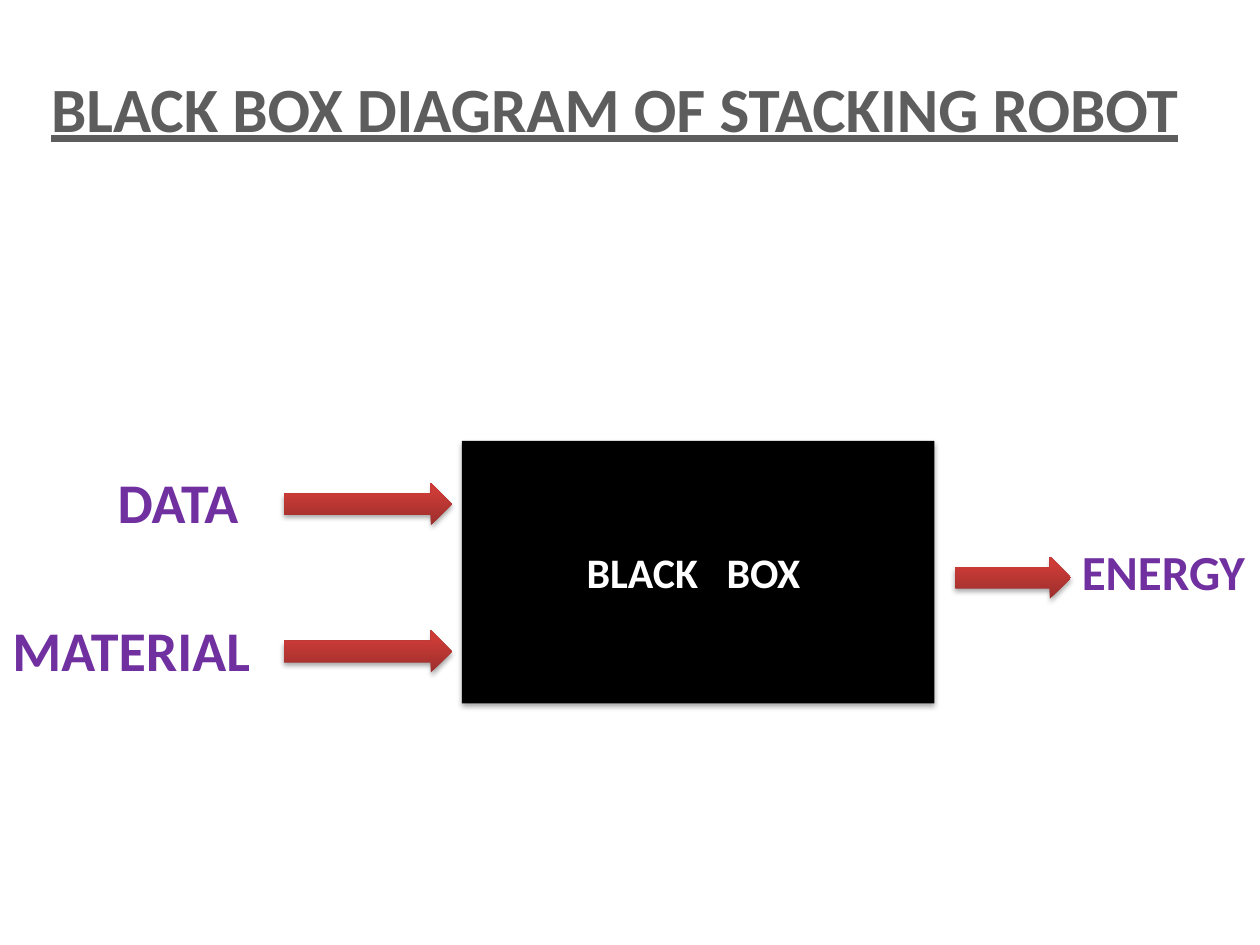
from dataclasses import dataclass

from lxml.etree import SubElement
from pptx import Presentation
from pptx.dml.color import RGBColor
from pptx.enum.shapes import MSO_SHAPE
from pptx.enum.text import MSO_ANCHOR, MSO_AUTO_SIZE, PP_ALIGN
from pptx.oxml.ns import qn
from pptx.util import Cm, Pt


@dataclass(frozen=True)
class Theme:
    font: str = "Calibri"
    title: str = "5D5D5D"
    label: str = "7030A0"
    box: str = "000000"
    box_text: str = "FFFFFF"
    arrow_bottom: str = "9C2F2D"
    arrow_top: str = "CE3B37"
    shadow: str = "000000"
    title_size: int = 36
    input_size: int = 32
    output_size: int = 28
    box_size: int = 24


THEME = Theme()
ROW_PITCH = 2.97  # distance between the two inputs


def add_span(frame, text, size, color, align, underline=None):
    para = frame.paragraphs[0]
    para.alignment = align
    span = para.add_run()
    span.text = text
    font = span.font
    font.name, font.size, font.bold = THEME.font, Pt(size), True
    font.underline = underline
    font.color.rgb = RGBColor.from_string(color)


def add_label(page, text, left, top, width, height, size, color=THEME.label,
              align=PP_ALIGN.LEFT, underline=None):
    box = page.shapes.add_textbox(Cm(left), Cm(top), Cm(width), Cm(height))
    frame = box.text_frame
    frame.word_wrap = False
    frame.auto_size = MSO_AUTO_SIZE.SHAPE_TO_FIT_TEXT
    add_span(frame, text, size, color, align, underline)


def add_block(page, kind, left, top, width, height):
    """Add a preset shape without outline and with a soft shadow below."""
    shape = page.shapes.add_shape(kind, Cm(left), Cm(top), Cm(width), Cm(height))
    shape.line.fill.background()
    shape.shadow.inherit = False
    effects = shape._element.spPr.find(qn("a:effectLst"))
    shadow = SubElement(effects, qn("a:outerShdw"), blurRad=str(Pt(3.1)),
                        dist=str(Pt(1.8)), dir="5400000", rotWithShape="0")
    color = SubElement(shadow, qn("a:srgbClr"), val=THEME.shadow)
    SubElement(color, qn("a:alpha"), val="35000")
    return shape


def add_arrow(page, left, top, width):
    arrow = add_block(page, MSO_SHAPE.RIGHT_ARROW, left, top, width, 0.85)
    arrow.fill.gradient()
    arrow.fill.gradient_angle = 90
    colors = (THEME.arrow_bottom, THEME.arrow_top)
    for stop, color, position in zip(arrow.fill.gradient_stops, colors, (0, 0.85)):
        stop.color.rgb = RGBColor.from_string(color)
        stop.position = position


def add_black_box(page):
    box = add_block(page, MSO_SHAPE.RECTANGLE, 9.31, 8.89, 9.53, 5.29)
    box.fill.solid()
    box.fill.fore_color.rgb = RGBColor.from_string(THEME.box)
    box.text_frame.vertical_anchor = MSO_ANCHOR.MIDDLE
    add_span(box.text_frame, "BLACK   BOX ", THEME.box_size, THEME.box_text,
             PP_ALIGN.CENTER)


def main():
    deck = Presentation()
    deck.slide_width, deck.slide_height = Cm(25.4), Cm(19.05)
    page = deck.slides.add_slide(deck.slide_layouts[6])

    # Title
    add_label(page, "BLACK BOX DIAGRAM OF STACKING ROBOT", 0.66, 1.27, 23.47, 1.8,
              THEME.title_size, THEME.title, PP_ALIGN.CENTER, underline=True)

    # System
    add_black_box(page)

    # Inputs
    inputs = (("DATA", 2.12, 2.97), ("MATERIAL", 0, 5.36))
    for row, (text, left, width) in enumerate(inputs):
        offset = row * ROW_PITCH
        add_label(page, text, left, 9.31 + offset, width, 1.62, THEME.input_size)
        add_arrow(page, 5.72, 9.74 + offset, 3.39)

    # Output
    add_arrow(page, 19.26, 11.22, 2.33)
    add_label(page, "ENERGY", 21.56, 10.8, 3.84, 1.45, THEME.output_size)

    deck.save("out.pptx")


if __name__ == "__main__":
    main()
